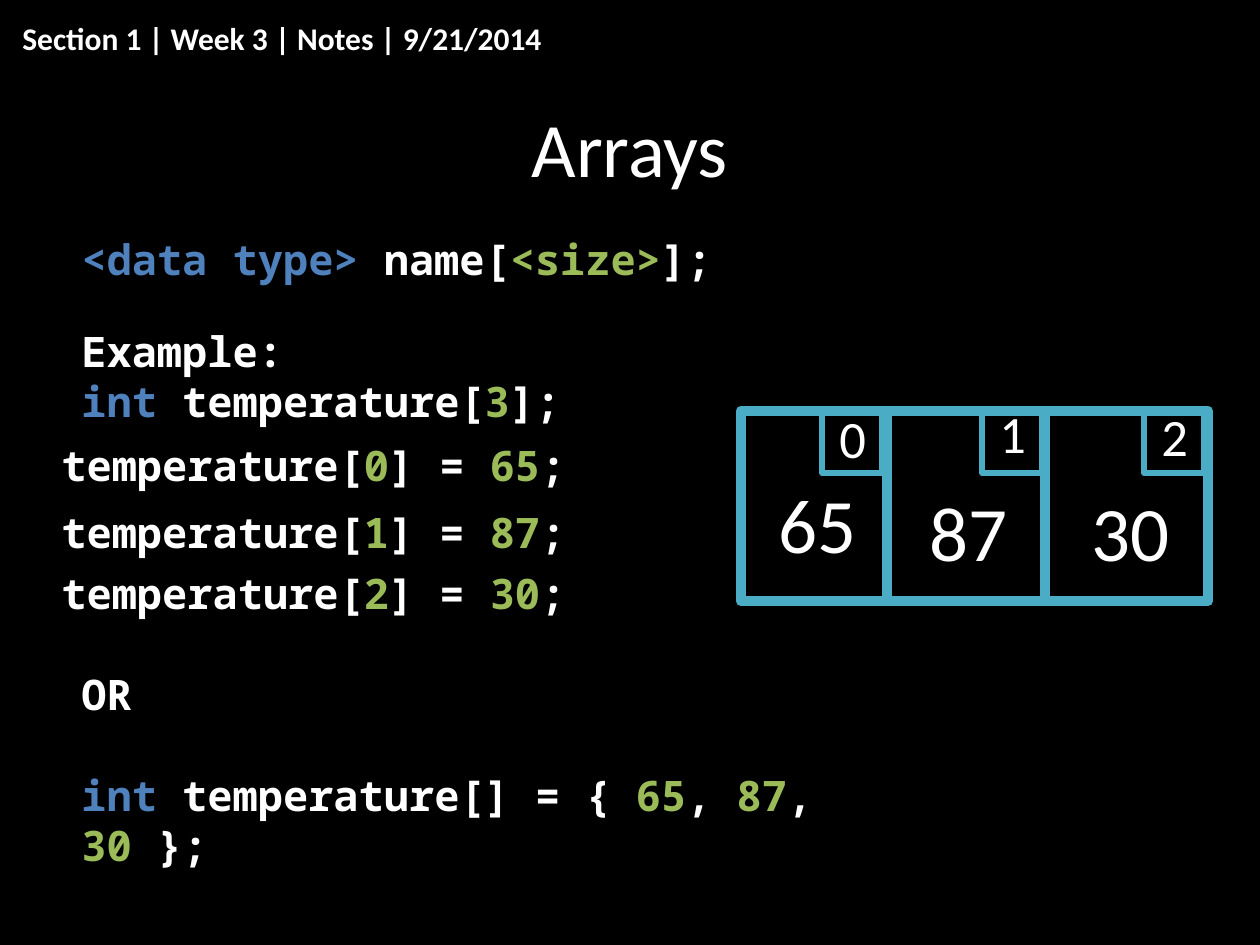
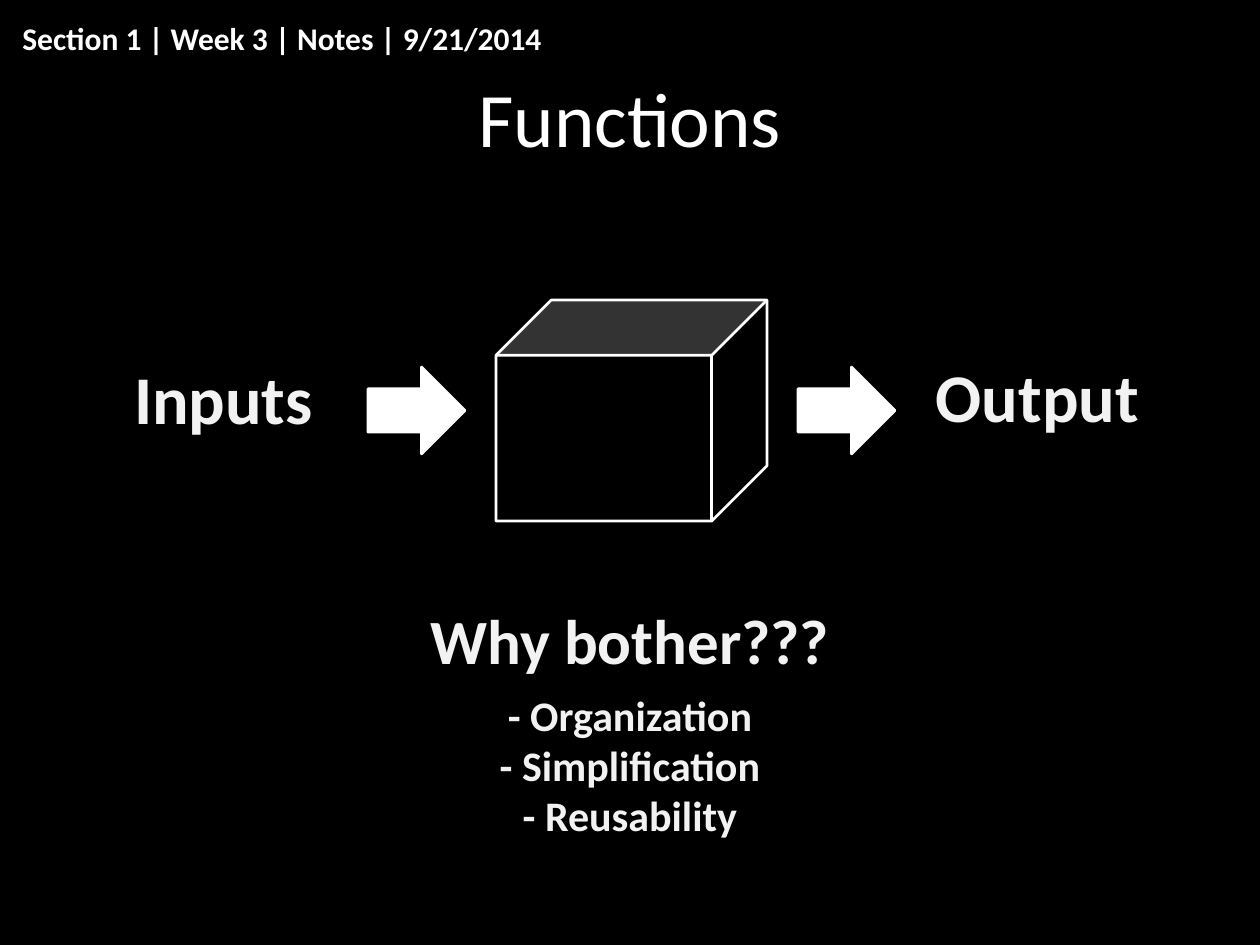
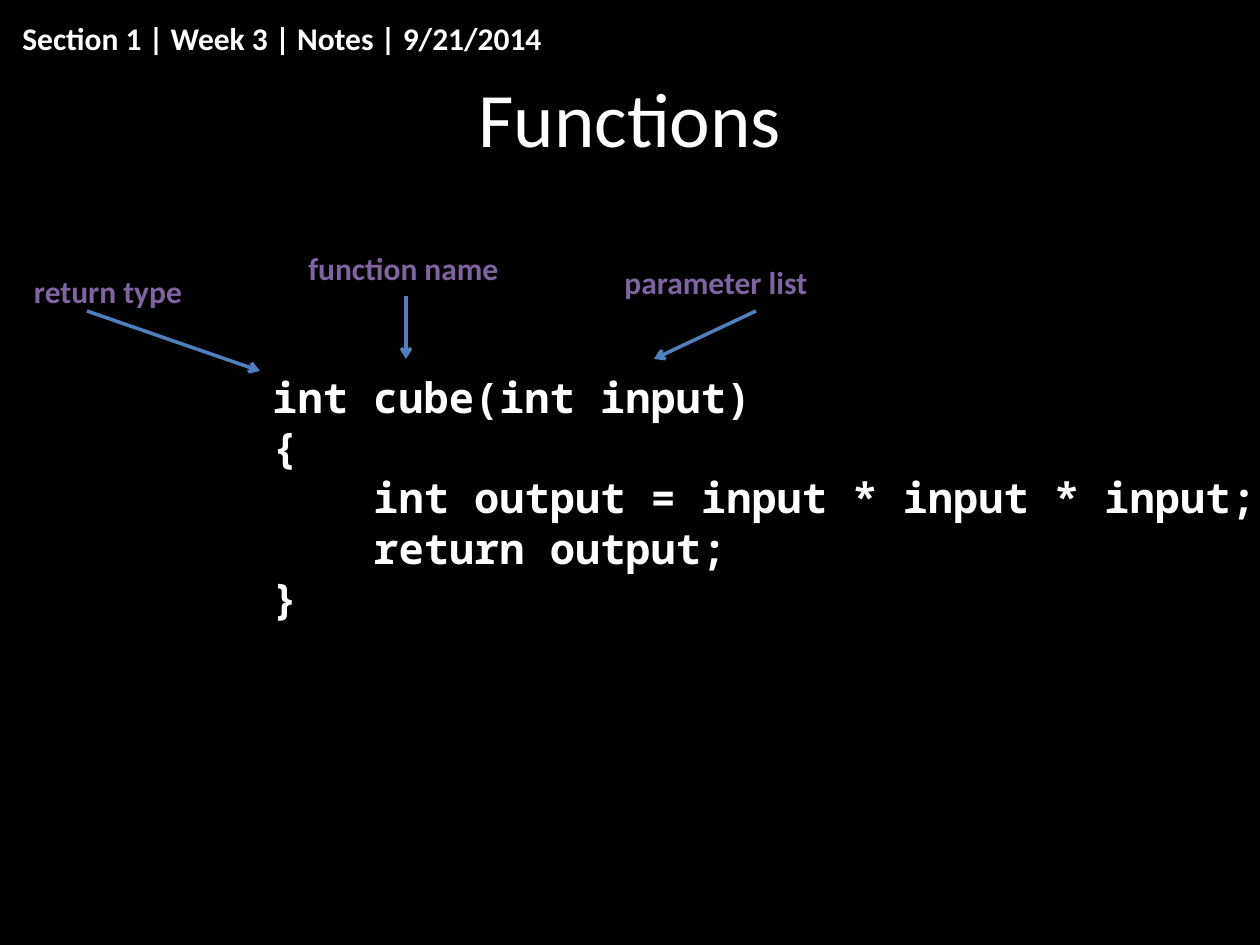
from lxml import etree
from pptx import Presentation
from pptx import util as u
from pptx.dml.color import RGBColor
from pptx.enum import shapes, text
from pptx.oxml.ns import qn

SCALE = 914400 / 126
HUES = {
    "black": "000000", "white": "FFFFFF", "pale": "F2F2F2", "blue": "4F81BD",
    "green": "9BBB59", "teal": "4BACC6", "plum": "8064A2",
}
CODE = {"name": "Noto Sans Mono", "size": u.Pt(24), "bold": True}
TITLE = {"name": "Calibri", "size": u.Pt(44), "bold": False}
INDEX = {**TITLE, "size": u.Pt(30)}
BAND = {"name": "Calibri", "size": u.Pt(18), "bold": True}
LIST = {**BAND, "size": u.Pt(24)}
ASK = {**BAND, "size": u.Pt(36)}
PORT = {**BAND, "size": u.Pt(39)}
MID = {"vertical_anchor": text.MSO_ANCHOR.MIDDLE}
LOOSE = {"word_wrap": False}
CENTER = {"alignment": text.PP_ALIGN.CENTER}


def px(n):
    return u.Emu(round(n * SCALE))


def hue(key):
    return RGBColor.from_string(HUES[key])


def apply(item, form):
    for key, value in form.items():
        setattr(item, key, value)


def write(slide, area, lines, font, ink="white", frame=None, para=None):
    """Add a text box; a line is a string or a list of (string, colour)."""
    box = slide.shapes.add_textbox(*map(px, area)).text_frame
    apply(box, {"word_wrap": True, **(frame or {})})
    for i, line in enumerate(lines):
        p = box.paragraphs[0] if i == 0 else box.add_paragraph()
        apply(p, para or {})
        for words, tint in [(line, ink)] if isinstance(line, str) else line:
            run = p.add_run()
            run.text = words
            apply(run.font, font)
            run.font.color.rgb = hue(tint)
    return box


def stroke(item, tint, width):
    item.line.color.rgb = hue(tint)
    item.line.width = u.Pt(width)


def draw(slide, kind, area, tint, width, fill=None):
    item = slide.shapes.add_shape(kind, *map(px, area))
    item.shadow.inherit = False
    if fill:
        item.fill.solid()
        item.fill.fore_color.rgb = hue(fill)
    else:
        item.fill.background()
    stroke(item, tint, width)


def link(slide, ends, tint, width, head=False):
    line = slide.shapes.add_connector(shapes.MSO_CONNECTOR.STRAIGHT, *map(px, ends))
    stroke(line, tint, width)
    if head:
        etree.SubElement(line.line._get_or_add_ln(), qn("a:tailEnd"), type="arrow")
    etree.SubElement(line._element.spPr, qn("a:effectLst"))


def start(deck, title, top=38):
    """Add a black slide with its title and the section band."""
    slide = deck.slides.add_slide(deck.slide_layouts[6])
    back = slide.background.fill
    back.solid()
    back.fore_color.rgb = hue("black")
    write(slide, (63, top, 1134, 158), [title], TITLE, frame=MID, para=CENTER)
    write(slide, (10, 0, 615, 76), ["Section 1 | Week 3 | Notes | 9/21/2014"],
          BAND, frame=MID)
    return slide


def cells(slide):
    """Draw the array as three cells, each with an index and a value."""
    rect = shapes.MSO_SHAPE.RECTANGLE
    draw(slide, rect, (741, 411, 467, 190), "teal", 6)
    for x in (887, 1045):
        link(slide, (x, 410, x, 602), "teal", 6)
    spots = [(822, 393, "65", 766, 470), (982, 388, "87", 917, 478),
             (1144, 391, "30", 1079, 478)]
    for i, (x, top, value, left, y) in enumerate(spots):
        draw(slide, rect, (x, 410, 60, 63), "teal", 3)
        pad = {"margin_top": px(13), "margin_bottom": px(13)}
        write(slide, (x + 5, top, 52, 69), [str(i)], INDEX, frame=pad)
        write(slide, (left, y, 103, 106), [value], TITLE, frame=LOOSE)


def arrays(deck):
    slide = start(deck, "Arrays", 68)
    cells(slide)
    kind = ("int", "blue")
    write(slide, (69, 227, 723, 63),
          [[("<data type>", "blue"), (" name[", "white"), ("<size>", "green"),
            ("];", "white")]], CODE)
    write(slide, (69, 319, 1032, 113),
          ["Example:", [kind, (" temperature[", "white"), ("3", "green"),
                        ("];", "white")]], CODE)
    for i, (top, value) in enumerate([(433, "65"), (500, "87"), (561, "30")]):
        line = [("temperature[", "white"), (str(i), "green"), ("] = ", "white"),
                (value, "green"), (";", "white")]
        write(slide, (49, top, 530, 63), [line], CODE, frame=LOOSE)
    whole = [kind, (" temperature[] = {", "white"), (" 65", "green"), (",", "white"),
             (" 87", "green"), (",", "white"), (" 30 ", "green"), ("};", "white")]
    box = write(slide, (69, 681, 862, 176), ["OR", whole], CODE, frame=MID)
    box.paragraphs[1].space_before = u.Pt(29)


def flow(deck):
    slide = start(deck, "Functions")
    draw(slide, shapes.MSO_SHAPE.CUBE, (496, 300, 271, 221), "white", 1.5, "black")
    for x in (368, 798):
        draw(slide, shapes.MSO_SHAPE.RIGHT_ARROW, (x, 367, 97, 87), "white", 1.5, "white")
    for x, y, word in [(-295, 277, "Inputs"), (519, 275, "Output")]:
        write(slide, (x, y, 1037, 241), [word], PORT, "pale", MID, CENTER)
    write(slide, (418, 595, 425, 88), ["Why bother???"], ASK, "pale", LOOSE)
    write(slide, (315, 683, 630, 164),
          ["- Organization", "- Simplification", "- Reusability"],
          LIST, "pale", para=CENTER)


def parts(deck):
    slide = start(deck, "Functions")
    code = ["int cube(int input)", "{", "int output = input * input * input;",
            "return output;", "}"]
    box = write(slide, (260, 234, 1231, 646), code, CODE,
                frame={**MID, "margin_bottom": px(126)})
    for p in box.paragraphs[2:4]:
        p._p.get_or_add_pPr().set("marL", str(px(101)))
    labels = [("return type", (18, 271, 180, 39), (87, 311, 260, 371)),
              ("function name", (289, 248, 229, 40), (406, 296, 406, 359)),
              ("parameter list", (578, 253, 276, 58), (756, 311, 654, 359))]
    for word, area, ends in labels:
        write(slide, area, [word], BAND, "plum", MID, CENTER)
        link(slide, ends, "blue", 2, True)


def main():
    deck = Presentation()
    deck.slide_width, deck.slide_height = px(1260), px(945)
    for build in (arrays, flow, parts):
        build(deck)
    deck.save("out.pptx")


if __name__ == "__main__":
    main()
